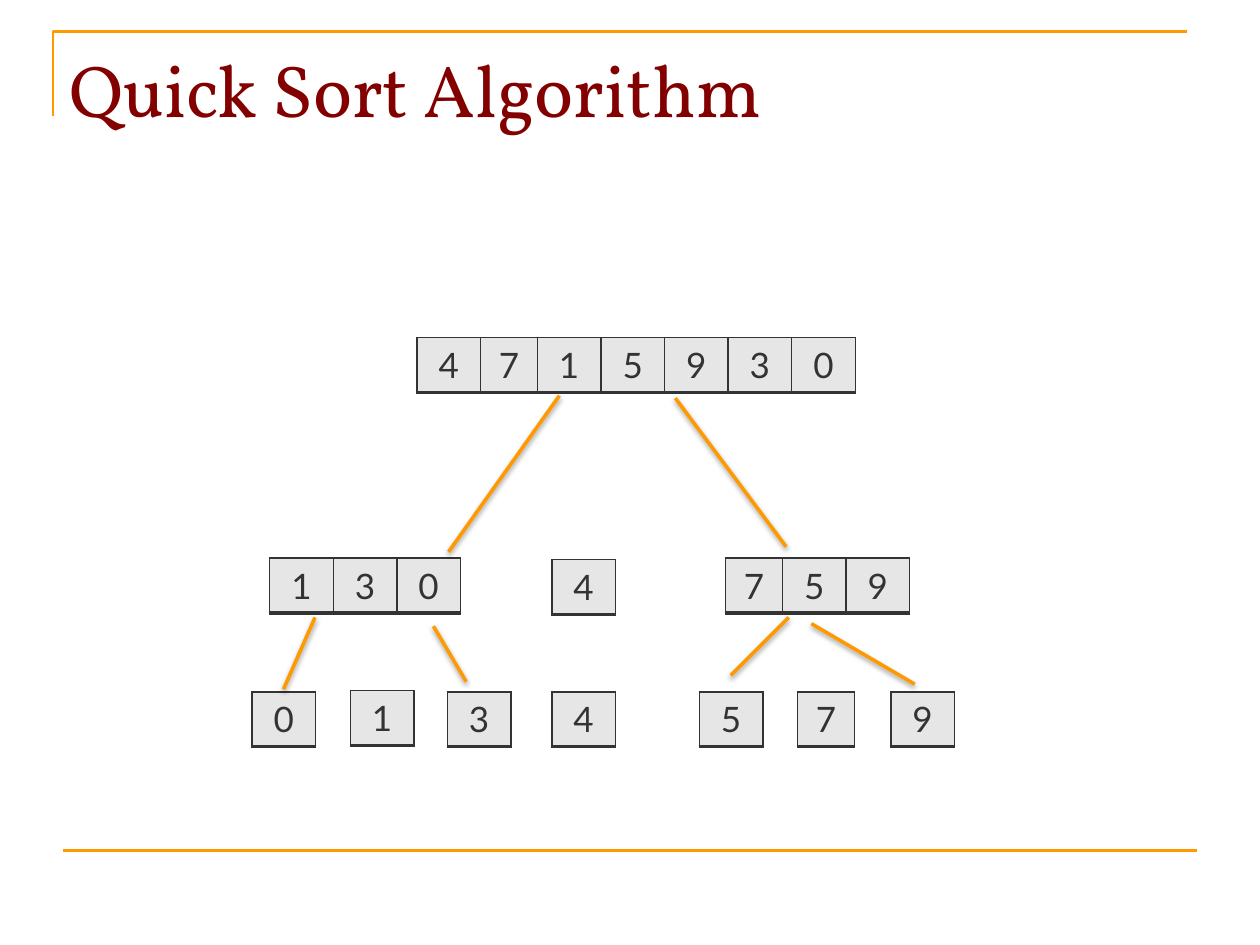
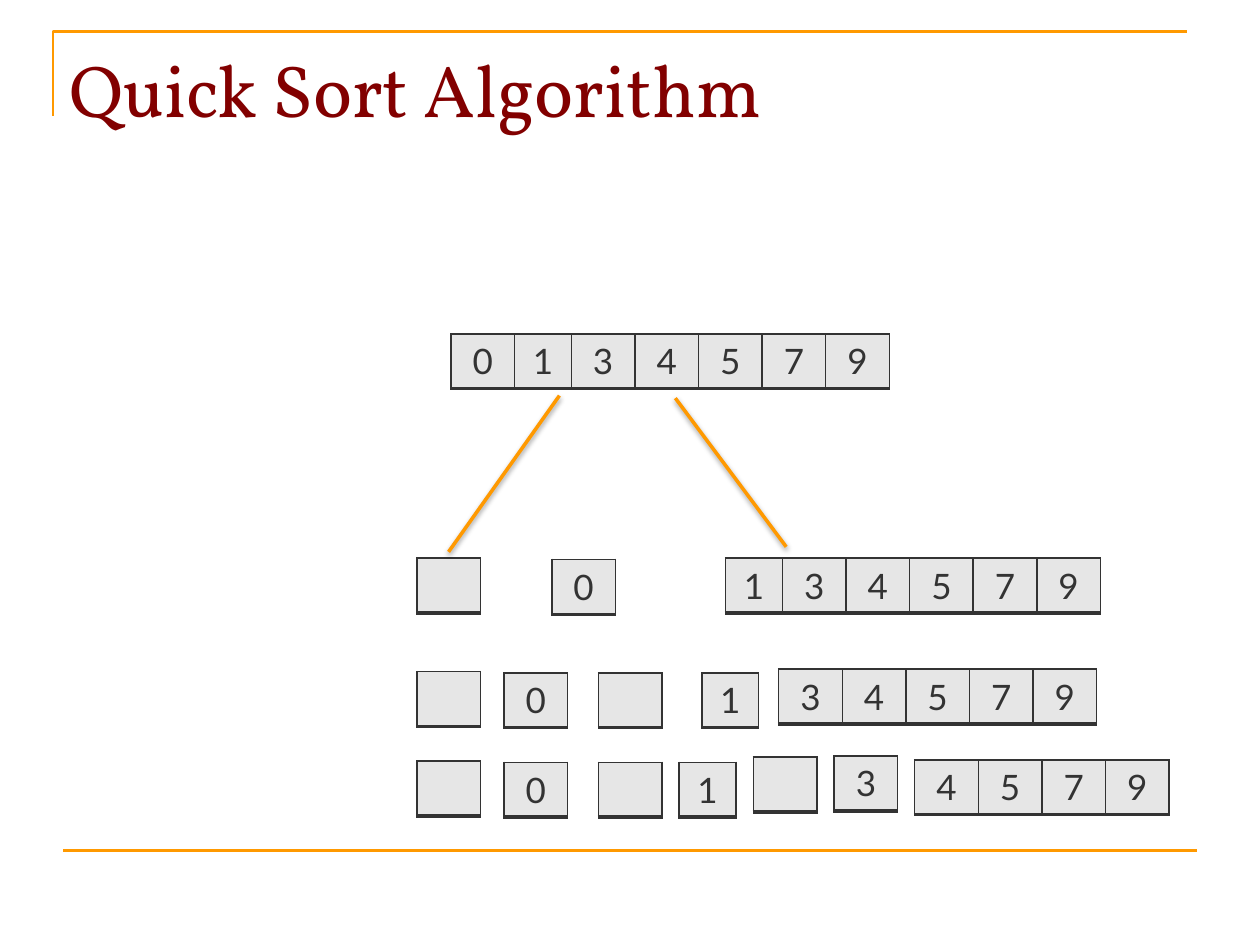
"""Build two slides that show quick sort partitions as trees of number arrays."""
from dataclasses import dataclass

from lxml.etree import SubElement
from pptx import Presentation
from pptx.dml.color import RGBColor as Color
from pptx.enum.shapes import MSO_CONNECTOR as Connector
from pptx.enum.text import MSO_ANCHOR as Anchor, PP_ALIGN as Align
from pptx.oxml.ns import qn
from pptx.util import Inches, Pt


@dataclass(frozen=True)
class Theme:
    title_color: str = "820000"
    accent: str = "FF9900"
    ink: str = "333333"
    cell_fill: str = "E6E6E6"
    title_font: str = "Vollkorn"
    cell_font: str = "Lato"
    title_size: int = 42
    cell_size: int = 20
    rule_width: float = 1.5
    branch_width: float = 2
    border_width: float = 1
    base_width: float = 2.25


theme = Theme()
deck = Presentation()
deck.slide_width, deck.slide_height = Inches(10), Inches(7.5)
COLUMNS = 20
WIDE, NARROW, CELL_HEIGHT = 1.01, 0.9, 0.72
TITLE = "Quick Sort Algorithm"


def grid(*lengths):
    return [int(length * deck.slide_width / COLUMNS) for length in lengths]


def write(frame, words, font, size, color, align=Align.LEFT, before=0):
    para = frame.paragraphs[0]
    para.alignment = align
    para.space_before = Pt(before)
    if words:
        span = para.add_run()
        span.text = words
        span.font.name, span.font.size = font, Pt(size)
        span.font.color.rgb = Color.from_string(color)
    else:
        ending = SubElement(para._p, qn("a:endParaRPr"), sz=str(size * 100))
        SubElement(ending, qn("a:latin"), typeface=font)


TOP_BRANCHES = [(7.12, 8.76, 8.88, 6.28), (12.48, 8.68, 10.72, 6.32)]

slides = [
    {
        "arrays": [
            (6.62, 5.36, "4715930", 1),
            (4.28, 8.86, "130", None),
            (8.76, 8.88, "4", None),
            (11.52, 8.86, "759", 0),
            (4, 10.98, "0", None),
            (5.56, 10.96, "1", None),
            (7.1, 10.98, "3", None),
            (8.76, 10.98, "4", None),
            (11.1, 10.98, "5", None),
            (12.66, 10.98, "7", 0),
            (14.14, 10.98, "9", None),
        ],
        "branches": TOP_BRANCHES + [
            (4.5, 10.94, 5, 9.8),
            (7.4, 10.82, 6.88, 9.94),
            (11.6, 10.72, 12.52, 9.8),
            (14.52, 10.86, 12.88, 9.9),
        ],
    },
    {
        "arrays": [
            (7.16, 5.3, "0134579", 1),
            (6.62, 8.86, "", None),
            (8.76, 8.88, "0", None),
            (11.52, 8.86, "134579", 0),
            (6.62, 10.66, "", None),
            (8, 10.68, "0", None),
            (9.5, 10.68, "", None),
            (11.14, 10.68, "1", 0),
            (12.36, 10.62, "34579", None),
            (6.62, 12.08, "", None),
            (8, 12.1, "0", None),
            (9.5, 12.1, "", None),
            (10.78, 12.1, "1", 0),
            (11.96, 12.02, "", None),
            (13.24, 12, "3", None),
            (14.52, 12.06, "4579", None),
        ],
        "branches": TOP_BRANCHES,
    },
]

borders = [
    ("a:lnL", theme.border_width),
    ("a:lnR", theme.border_width),
    ("a:lnT", theme.border_width),
    ("a:lnB", theme.base_width),
]

for content in slides:
    page = deck.slides.add_slide(deck.slide_layouts[5])
    title = page.shapes.title
    title.left, title.top, title.width, title.height = grid(1, 0.6, 18, 2.06)
    frame = title.text_frame
    frame.vertical_anchor = Anchor.TOP
    frame.margin_left, frame.margin_right = grid(0.1, 0.1)
    frame.margin_top, frame.margin_bottom = grid(0.1, 0.1)
    write(frame, TITLE, theme.title_font, theme.title_size, theme.title_color)

    for left, top, digits, narrow in content["arrays"]:
        values = digits or [""]
        widths = [NARROW if place == narrow else WIDE for place in range(len(values))]
        box = grid(left, top, sum(widths), CELL_HEIGHT)
        table = page.shapes.add_table(1, len(values), *box).table
        table.first_row = table.horz_banding = False
        for column, width in zip(table.columns, grid(*widths)):
            column.width = width
        for cell, digit in zip(table.rows[0].cells, values):
            cell.margin_left, cell.margin_right = grid(0.1, 0.1)
            cell.margin_top, cell.margin_bottom = grid(0.1, 0.1)
            write(cell.text_frame, digit, theme.cell_font, theme.cell_size, theme.ink,
                  align=Align.CENTER, before=4)
            properties = cell._tc.get_or_add_tcPr()
            for side, weight in borders:
                edge = SubElement(properties, qn(side), w=str(Pt(weight)))
                paint = SubElement(edge, qn("a:solidFill"))
                SubElement(paint, qn("a:srgbClr"), val=theme.ink)
            cell.fill.solid()
            cell.fill.fore_color.rgb = Color.from_string(theme.cell_fill)

    for ends in content["branches"]:
        branch = page.shapes.add_connector(Connector.STRAIGHT, *grid(*ends))
        branch.line.color.rgb = Color.from_string(theme.accent)
        branch.line.width = Pt(theme.branch_width)
        effects = SubElement(branch._element.spPr, qn("a:effectLst"))
        shadow = SubElement(effects, qn("a:outerShdw"), blurRad=str(Pt(3)),
                            dist=str(Pt(1.6)), dir="5400000", rotWithShape="0")
        shade = SubElement(shadow, qn("a:srgbClr"), val="000000")
        SubElement(shade, qn("a:alpha"), val="38000")

outline = page.shapes.build_freeform(*grid(0.84, 1.84), scale=1.0)
outline.add_line_segments([grid(0.84, 0.5), grid(18.84, 0.5)], close=False)
corner = outline.convert_to_shape()
corner.fill.background()
corner.shadow.inherit = False
footer = page.shapes.add_connector(Connector.STRAIGHT, *grid(1, 13.5, 19, 13.5))
SubElement(footer._element.spPr, qn("a:effectLst"))
for rule in (corner, footer):
    rule.line.color.rgb = Color.from_string(theme.accent)
    rule.line.width = Pt(theme.rule_width)
    deck.slide_master.shapes._spTree.append(rule._element)

deck.save("out.pptx")
